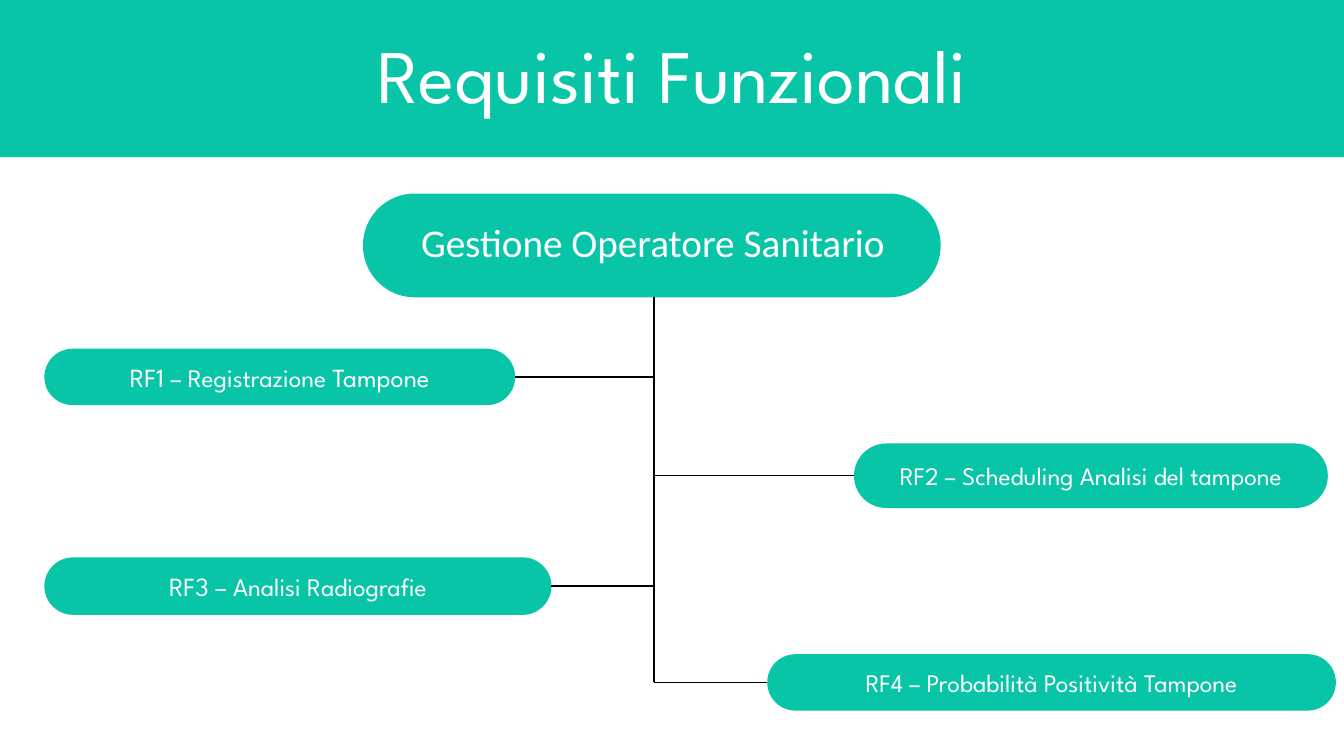
from lxml.etree import SubElement
from pptx import Presentation
from pptx.dml.color import RGBColor
from pptx.enum.shapes import MSO_CONNECTOR, MSO_SHAPE
from pptx.enum.text import MSO_ANCHOR, PP_ALIGN
from pptx.oxml.ns import qn
from pptx.util import Inches, Pt

TEAL = RGBColor(0x09, 0xC5, 0xA8)
WHITE = RGBColor(0xFF, 0xFF, 0xFF)
BLACK = RGBColor(0x00, 0x00, 0x00)
HEADING_FONT = "League Spartan"
BODY_FONT = "Calibri"
LEFT_SIDE, RIGHT_SIDE = 1, 3
TRUNK_X = 6.49
TRUNK_TOP = 2.95

REQUIREMENTS = [
    ((0.44, 3.46, 4.67, 0.56), RIGHT_SIDE,
     [("RF1 ", 18.7), ("– Registrazione ", 18), ("Tampone", 18.7)]),
    ((8.47, 4.4, 4.7, 0.64), LEFT_SIDE,
     [("RF2 – Scheduling Analisi del tampone", 18)]),
    ((0.44, 5.53, 5.03, 0.57), RIGHT_SIDE,
     [("RF3 – ", 18.7), ("Analisi Radiografie", 18)]),
    ((7.61, 6.49, 5.64, 0.56), LEFT_SIDE,
     [("RF4 – Probabilità Positività Tampone", 18)]),
]


class SlideBuilder:
    def __init__(self, slide):
        self.slide = slide

    def set_text(self, shape, runs, font=HEADING_FONT, spacing=None):
        frame = shape.text_frame
        frame.word_wrap = True
        paragraph = frame.paragraphs[0]
        paragraph.alignment = PP_ALIGN.CENTER
        paragraph.line_spacing = spacing
        paragraph.font.name = font
        paragraph.font.color.rgb = WHITE
        for text, size in runs:
            run = paragraph.add_run()
            run.text = text
            if len(runs) == 1:
                paragraph.font.size = Pt(size)
            else:
                run.font.size = Pt(size)

    def block(self, kind, box, runs=(), spacing=None):
        shape = self.slide.shapes.add_shape(kind, *map(Inches, box))
        shape.shadow.inherit = False
        shape.fill.solid()
        shape.fill.fore_color.rgb = TEAL
        shape.line.fill.background()
        if runs:
            shape.text_frame.vertical_anchor = MSO_ANCHOR.MIDDLE
            self.set_text(shape, runs, spacing=spacing)
        return shape

    def pill(self, box, runs=()):
        shape = self.block(MSO_SHAPE.ROUNDED_RECTANGLE, box, runs)
        shape.adjustments[0] = 0.5
        return shape

    def label(self, box, text, size):
        shape = self.slide.shapes.add_textbox(*map(Inches, box))
        self.set_text(shape, [(text, size)], BODY_FONT)

    def line(self, start, end, width):
        connector = self.slide.shapes.add_connector(
            MSO_CONNECTOR.STRAIGHT, *map(Inches, (*start, *end)))
        connector.line.color.rgb = BLACK
        connector.line.width = Pt(width)
        SubElement(connector._element.spPr, qn("a:effectLst"))
        return connector

    def requirement(self, box, side, runs):
        pill = self.pill(box, runs)
        left, top, width, height = box
        middle = top + height / 2
        edge = left if side == LEFT_SIDE else left + width
        branch = self.line((edge, middle), (TRUNK_X, middle), 1)
        branch.begin_connect(pill, side)
        return middle


def main():
    presentation = Presentation()
    presentation.slide_width = Inches(13.33)
    presentation.slide_height = Inches(7.5)
    slide = presentation.slides.add_slide(presentation.slide_layouts[6])
    builder = SlideBuilder(slide)

    builder.block(MSO_SHAPE.RECTANGLE, (0, 0, 13.33, 1.56),
                  [("Requisiti Funzionali", 54)], spacing=0.9)
    builder.pill((3.6, 1.92, 5.73, 1.03))
    builder.label((3.86, 2.12, 5.23, 0.57), "Gestione Operatore Sanitario", 28)

    middles = [builder.requirement(*item) for item in REQUIREMENTS]
    builder.line((TRUNK_X, TRUNK_TOP), (TRUNK_X, middles[-1]), 1.5)

    presentation.save("out.pptx")


if __name__ == "__main__":
    main()
